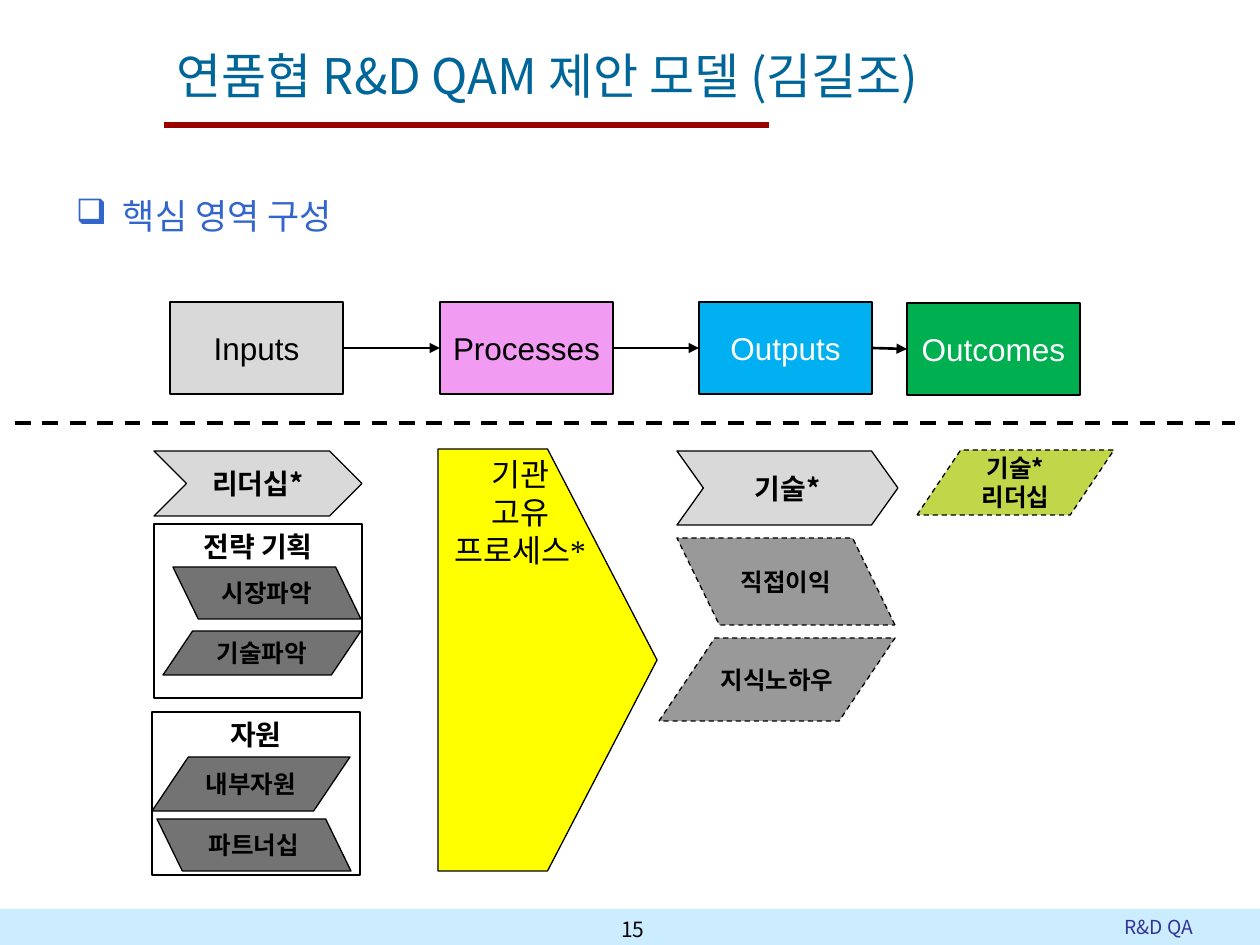
from pptx import Presentation
from pptx.dml.color import RGBColor as Rgb
from pptx.enum.dml import MSO_LINE as Dash
from pptx.enum.shapes import MSO_CONNECTOR as Conn, MSO_SHAPE as Kind
from pptx.enum.text import MSO_ANCHOR as Anchor, PP_ALIGN as Align
from pptx.oxml.ns import qn
from pptx.util import Emu, Pt
from lxml.etree import SubElement as Sub

SCALE = 914400 / 126
SANS, SERIF, ARIAL = "Noto Sans CJK KR", "Times New Roman", "Arial"
HUES = {
    "black": "000000", "white": "FFFFFF", "red": "990000", "bar": "CCECFF",
    "navy": "333399", "teal": "006699", "blue": "3366CC", "pale": "D9D9D9",
    "pink": "F19BF3", "sky": "00B0F0", "green": "00B050", "dark": "737373",
    "yellow": "FFFF00", "lime": "C2D64A", "mid": "999999",
}


def px(num):
    return Emu(round(num * SCALE))


def hue(name):
    return Rgb.from_string(HUES[name])


def write(shape, text, size=14, font=SANS, color="black", bold=False,
          align=Align.CENTER, anchor=Anchor.MIDDLE, wrap=True, inset=(13, 6)):
    frame = shape.text_frame
    frame.word_wrap = wrap
    frame.vertical_anchor = anchor
    frame.margin_left = frame.margin_right = px(inset[0])
    frame.margin_top = frame.margin_bottom = px(inset[1])
    for i, line in enumerate(text.split("\n")):
        para = frame.add_paragraph() if i else frame.paragraphs[0]
        para.alignment = align
        run = para.add_run()
        run.text = line
        run.font.size = Pt(size)
        run.font.name = font
        run.font.bold = bold
        run.font.color.rgb = hue(color)
        Sub(run.font._element, qn("a:ea"), typeface=SANS)
    return frame


class Deck:
    def __init__(self):
        self.prs = Presentation()
        self.prs.slide_width, self.prs.slide_height = px(1260), px(945)
        self.slide = self.prs.slides.add_slide(self.prs.slide_layouts[6])

    def shape(self, kind, box, fill=None, line="black", width=0.75,
              dash=False, adj=None, flip=False):
        item = self.slide.shapes.add_shape(kind, *map(px, box))
        item.shadow.inherit = False
        if fill:
            item.fill.solid()
            item.fill.fore_color.rgb = hue(fill)
        else:
            item.fill.background()
        if line:
            item.line.color.rgb = hue(line)
            item.line.width = Pt(width)
        else:
            item.line.fill.background()
        if dash:
            item.line.dash_style = Dash.DASH
        if adj:
            item.adjustments[0] = adj
        if flip:
            item._element.spPr.find(qn("a:xfrm")).set("flipH", "1")
        return item

    def slant(self, text, box, fill="dark", flip=False, dash=False, font=SANS):
        item = self.shape(Kind.PARALLELOGRAM, box, fill, dash=dash,
                          adj=0.487 if flip else 0.673, flip=flip)
        write(item, text, bold=True, font=font)

    def frame(self, text, box):
        write(self.shape(Kind.RECTANGLE, box), text, size=16, font=SERIF,
              bold=True, anchor=Anchor.TOP)

    def arrow(self, text, box, adj=0.5):
        write(self.shape(Kind.CHEVRON, box, "pale", adj=adj), text,
              size=16, bold=True)

    def stage(self, text, box, fill, color):
        write(self.shape(Kind.RECTANGLE, box, fill, width=1.5), text, size=18,
              font=ARIAL, color=color, wrap=False, inset=(0, 0))

    def line(self, start, end, color="black", width=1.5, dash=False, head=False):
        item = self.slide.shapes.add_connector(
            Conn.STRAIGHT, *map(px, start + end))
        item.line.color.rgb = hue(color)
        item.line.width = Pt(width)
        if dash:
            item.line.dash_style = Dash.DASH
        if head:
            Sub(item.line._get_or_add_ln(), qn("a:tailEnd"), type="triangle")
        Sub(item._element.spPr, qn("a:effectLst"))

    def text(self, text, box, **style):
        item = self.slide.shapes.add_textbox(*map(px, box))
        return write(item, text, **style)

    def bullet(self, frame, mark, indent):
        props = frame.paragraphs[0]._p.get_or_add_pPr()
        props.set("marL", str(px(indent)))
        props.set("indent", str(-px(indent)))
        Sub(props, qn("a:buChar"), char=mark)


def main():
    deck = Deck()
    deck.line((164, 125), (769, 125), "red", 3)
    deck.shape(Kind.RECTANGLE, (0, 909, 1260, 36), "bar", line=None)
    deck.text("15", (591, 913, 84, 32), size=12, wrap=False)
    deck.text("R&D QA", (774, 909, 432, 36), size=11, color="navy",
              align=Align.RIGHT, anchor=Anchor.TOP)
    deck.text("연품협 R&D QAM 제안 모델 (김길조)", (164, 36, 1042, 77),
              size=28, color="teal", align=Align.LEFT)
    body = deck.text("핵심 영역 구성", (63, 189, 1134, 86), size=20,
                     color="blue", align=Align.LEFT, anchor=Anchor.TOP)
    deck.bullet(body, "❑", 47)

    wide, high = 173, 92
    stages = [
        ("Inputs", 170, 302, "pale", "black"),
        ("Processes", 440, 302, "pink", "black"),
        ("Outputs", 699, 302, "sky", "white"),
        ("Outcomes", 907, 303, "green", "white"),
    ]
    for name, x, y, fill, color in stages:
        deck.stage(name, (x, y, wide, high), fill, color)
    for (_, x, y, *_), (_, x2, y2, *_) in zip(stages, stages[1:]):
        deck.line((x + wide, y + high // 2), (x2, y2 + high // 2), head=True)

    deck.slant("시장파악", (173, 567, 188, 52), flip=True)
    deck.slant("기술파악", (163, 631, 198, 44))
    deck.arrow("리더십*", (154, 451, 208, 65))
    plate = deck.shape(Kind.PENTAGON, (438, 449, 219, 422), "yellow")
    frame = write(plate, "기관\n고유\n프로세스*", size=18, font=SERIF,
                  anchor=Anchor.TOP)
    frame.paragraphs[1].runs[0].font.name = SANS

    deck.arrow("기술*", (677, 451, 221, 74), 0.357)
    deck.slant("기술*\n리더십", (917, 450, 197, 65), "lime", dash=True)
    deck.slant("지식노하우", (659, 638, 236, 83), "mid", dash=True, font=SERIF)
    deck.slant("직접이익", (677, 538, 218, 87), "mid", flip=True, dash=True)
    deck.frame("전략 기획", (154, 524, 208, 174))
    deck.frame("자원", (152, 712, 208, 163))
    deck.slant("내부자원", (152, 757, 198, 54))
    deck.slant("파트너십", (157, 819, 194, 52), flip=True)
    deck.line((15, 423), (1235, 423), width=2.25, dash=True)
    deck.prs.save("out.pptx")


if __name__ == "__main__":
    main()
